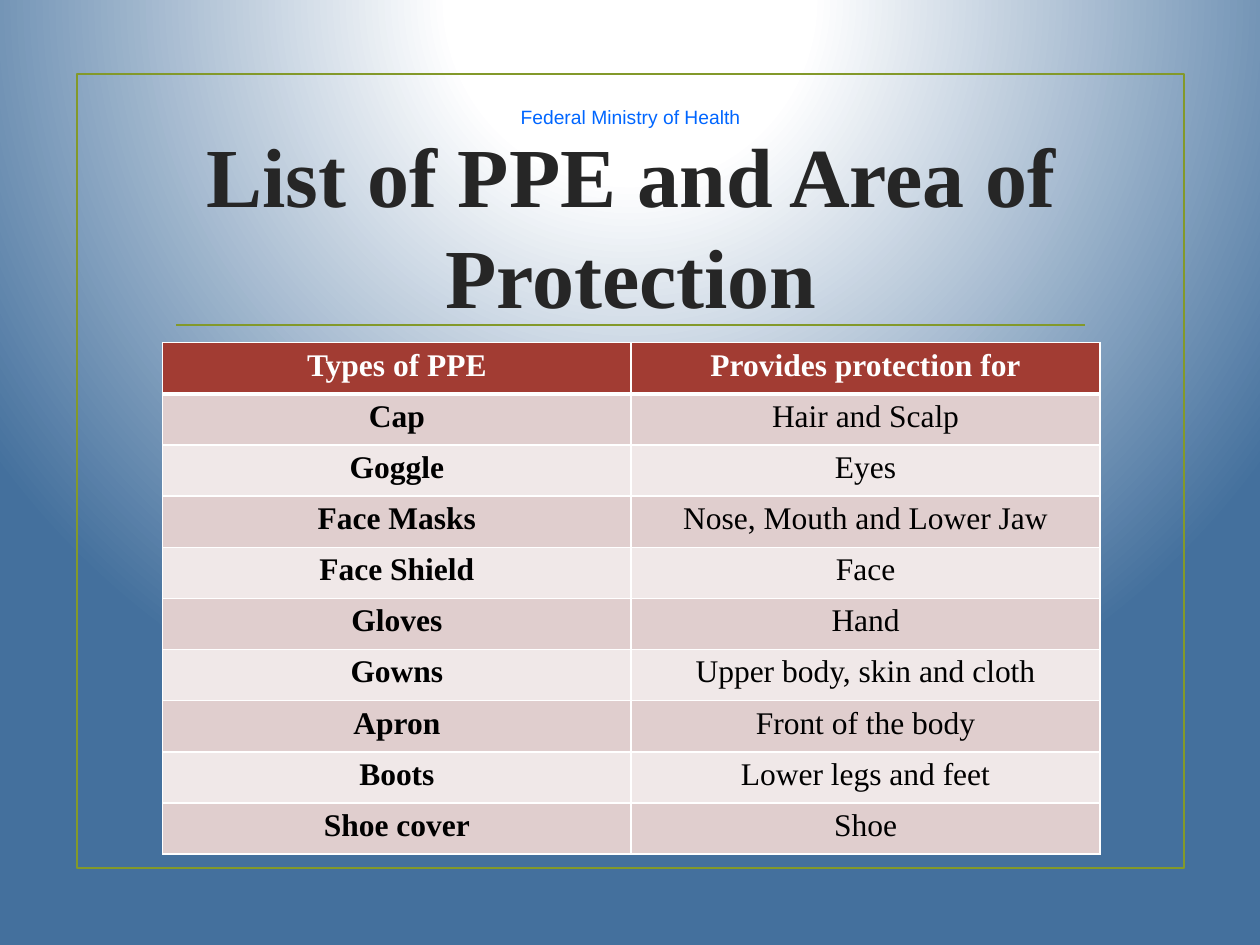
"""Build a slide that lists protective equipment and the body area each item protects."""
from lxml.etree import SubElement
from pptx import Presentation
from pptx.dml.color import RGBColor
from pptx.enum.shapes import MSO_CONNECTOR, MSO_SHAPE
from pptx.enum.text import MSO_ANCHOR, PP_ALIGN
from pptx.oxml.ns import qn
from pptx.util import Inches, Pt

COLORS = {
    "white": "FFFFFF", "blue": "44709D", "olive": "83992A", "link": "0066FF",
    "title": "262626", "black": "000000", "header": "A23C33",
    "odd": "E0CECE", "even": "F0E8E8",
}
SERIF = "Times New Roman"
ROWS = [
    ("Types of PPE", "Provides protection for"),
    ("Cap", "Hair and Scalp"),
    ("Goggle", "Eyes"),
    ("Face Masks", "Nose, Mouth and Lower Jaw"),
    ("Face Shield", "Face"),
    ("Gloves", "Hand"),
    ("Gowns", "Upper body, skin and cloth"),
    ("Apron", "Front of the body"),
    ("Boots", "Lower legs and feet"),
    ("Shoe cover", "Shoe"),
]


def style_text(paragraph, font_name, size, color, bold=False):
    paragraph.alignment = PP_ALIGN.CENTER
    font = paragraph.runs[0].font
    font.name, font.size, font.bold = font_name, Pt(size), bold
    font.color.rgb = RGBColor.from_string(COLORS[color])


def add_border(cell, side, width):
    border = SubElement(cell._tc.get_or_add_tcPr(), qn(f"a:{side}"), w=str(Pt(width)))
    SubElement(SubElement(border, qn("a:solidFill")), qn("a:srgbClr"), val=COLORS["white"])


prs = Presentation()
prs.slide_width, prs.slide_height = Inches(10), Inches(7.5)
slide = prs.slides.add_slide(prs.slide_layouts[5])

background = slide.background.fill
background.gradient()
for stop, position, color in zip(background.gradient_stops, (0.23, 1), ("white", "blue")):
    stop.position = position
    stop.color.rgb = RGBColor.from_string(COLORS[color])
gradient = slide.element.find(".//" + qn("a:gradFill"))
gradient.remove(gradient.find(qn("a:lin")))
glow = SubElement(gradient, qn("a:path"), path="circle")
SubElement(glow, qn("a:fillToRect"), l="50000", t="-80000", r="50000", b="180000")

frame = slide.shapes.add_shape(
    MSO_SHAPE.RECTANGLE, Inches(0.61), Inches(0.59), Inches(8.79), Inches(6.3))
frame.shadow.inherit = False
frame.fill.background()

ministry = slide.shapes.add_textbox(Inches(3.69), Inches(0.76), Inches(2.63), Inches(0.67))
ministry.text_frame.word_wrap = True
ministry.text_frame.text = "Federal Ministry of Health"
ministry_line = ministry.text_frame.paragraphs[0]
ministry_line.line_spacing, ministry_line.space_after = 1.15, Pt(10)
style_text(ministry_line, "Arial", 11, "link")

title_rule = slide.shapes.add_connector(
    MSO_CONNECTOR.STRAIGHT, Inches(1.4), Inches(2.58), Inches(8.61), Inches(2.58))
SubElement(title_rule._element.spPr, qn("a:effectLst"))
for outlined in (frame, title_rule):
    outlined.line.color.rgb = RGBColor.from_string(COLORS["olive"])
    outlined.line.width = Pt(1.25)

title = slide.shapes.title
title.left, title.top, title.width, title.height = (
    Inches(1.29), Inches(1.13), Inches(7.44), Inches(1.3))
title.text_frame.text = "List of PPE and Area of Protection"
title.text_frame.vertical_anchor = MSO_ANCHOR.MIDDLE
style_text(title.text_frame.paragraphs[0], SERIF, 48, "title", True)

ppe_table = slide.shapes.add_table(
    len(ROWS), 2, Inches(1.29), Inches(2.72), Inches(7.44), Inches(4.06)).table
for r, row in enumerate(ROWS):
    row_fill = "header" if r == 0 else "odd" if r % 2 else "even"
    for c, label in enumerate(row):
        cell = ppe_table.cell(r, c)
        cell.margin_left = cell.margin_right = Inches(0.07)
        cell.margin_top = cell.margin_bottom = 0
        cell.text_frame.text = label
        entry = cell.text_frame.paragraphs[0]
        entry.line_spacing = 1.15
        style_text(entry, SERIF, 18, "black" if r else "white", r == 0 or c == 0)
        for side in ("lnL", "lnR", "lnT", "lnB"):
            thick = (r, side) in ((0, "lnB"), (1, "lnT"))
            add_border(cell, side, 3 if thick else 1)
        cell.fill.solid()
        cell.fill.fore_color.rgb = RGBColor.from_string(COLORS[row_fill])

prs.save("out.pptx")
